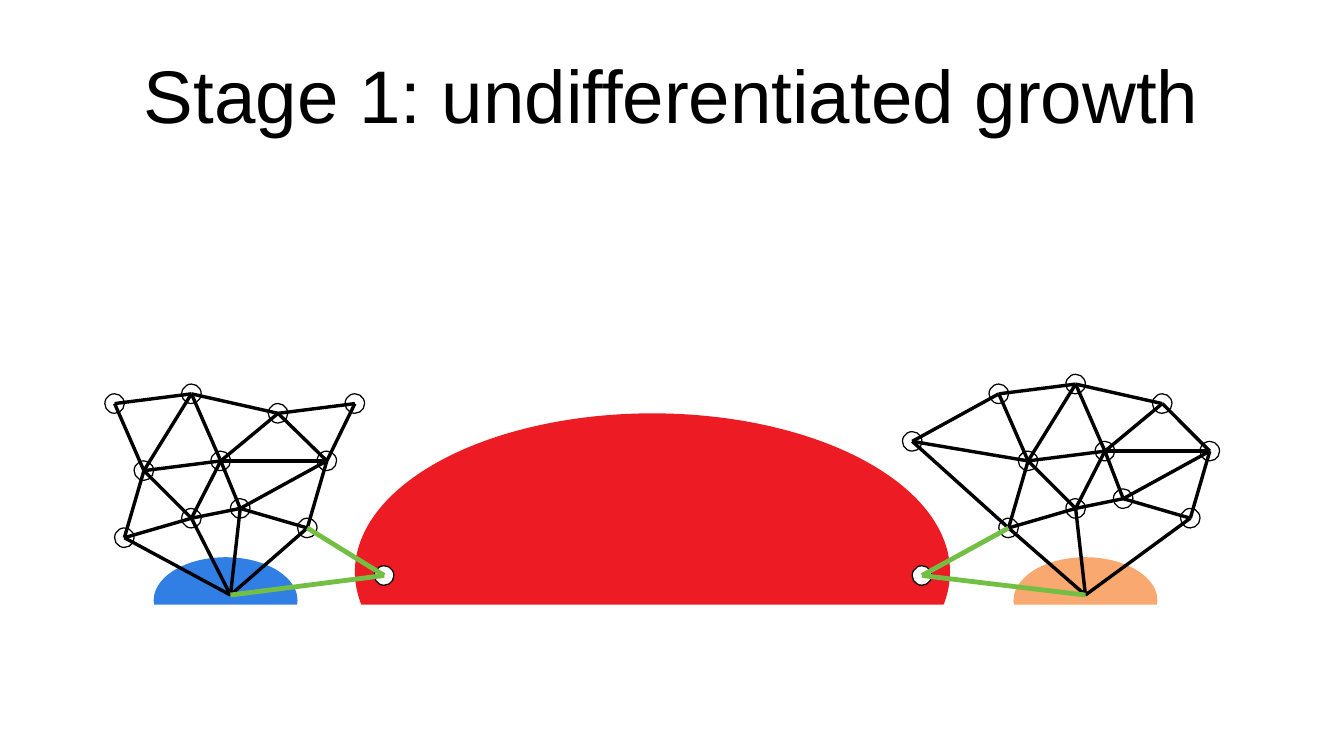
from dataclasses import dataclass

from lxml.etree import SubElement
from pptx import Presentation
from pptx.dml.color import RGBColor
from pptx.enum.shapes import MSO_CONNECTOR, MSO_SHAPE
from pptx.enum.text import MSO_ANCHOR, PP_ALIGN
from pptx.oxml.ns import qn
from pptx.shapes.autoshape import Shape
from pptx.slide import Slide
from pptx.util import Inches, Pt

BLACK = RGBColor(0x00, 0x00, 0x00)
WHITE = RGBColor(0xFF, 0xFF, 0xFF)
BLUE = RGBColor(0x31, 0x7E, 0xE5)
ORANGE = RGBColor(0xF9, 0xA8, 0x70)
RED = RGBColor(0xED, 0x1C, 0x24)
GREEN = RGBColor(0x72, 0xBF, 0x44)

NODE_SIZE = 0.16
HAIRLINE = 0
BRIDGE_WIDTH = 2.83

Point = tuple[float, float]


@dataclass(frozen=True)
class Body:
    left: float
    top: float
    width: float
    height: float
    fill: RGBColor
    kind: MSO_SHAPE = MSO_SHAPE.OVAL


@dataclass(frozen=True)
class Network:
    """Circled nodes and a bare root; each edge is a pair of node letters."""
    nodes: dict[str, Point]
    root: Point
    edges: str
    bridges: str


BODIES = [
    Body(1.26, 4.57, 1.18, 0.71, BLUE),
    Body(8.31, 4.57, 1.18, 0.71, ORANGE),
    Body(2.91, 3.39, 4.88, 2.6, RED),
    Body(0.55, 4.96, 10.31, 1.1, WHITE, MSO_SHAPE.RECTANGLE),  # ground
]

# Letters run row by row; t is the tip on the red body, r the root.
NETWORKS = [
    Network(
        nodes={
            "a": (0.94, 3.31), "b": (1.57, 3.23), "c": (2.28, 3.39), "d": (2.91, 3.31),
            "e": (1.18, 3.86), "f": (1.81, 3.78), "g": (2.68, 3.78),
            "h": (1.02, 4.41), "i": (1.57, 4.25), "j": (1.97, 4.17), "k": (2.52, 4.33),
            "t": (3.15, 4.72),
        },
        root=(1.89, 4.88),
        edges="ab bc cd ae be bf cf cg dg ef fg eh ei fi fj gj gk hi ij jk hr ir jr kr",
        bridges="kt rt",
    ),
    Network(
        nodes={
            "a": (7.48, 3.62), "b": (8.19, 3.23), "c": (8.82, 3.15), "d": (9.53, 3.31),
            "e": (8.43, 3.78), "f": (9.06, 3.7), "g": (9.92, 3.7),
            "h": (8.27, 4.33), "i": (8.82, 4.17), "j": (9.21, 4.09), "k": (9.76, 4.25),
            "t": (7.56, 4.72),
        },
        root=(8.9, 4.88),
        edges="ab bc cd ae be ce cf df dg ef fg ah eh ei fi fj gj gk hi ij jk hr ir kr",
        bridges="ht rt",
    ),
]


def add_body(s: Slide, body: Body) -> Shape:
    sp = s.shapes.add_shape(body.kind, Inches(body.left), Inches(body.top),
                            Inches(body.width), Inches(body.height))
    sp.shadow.inherit = False
    sp.fill.solid()
    sp.fill.fore_color.rgb = body.fill
    sp.line.fill.background()
    return sp


def add_node(s: Slide, center: Point) -> None:
    x, y = center
    sp = add_body(s, Body(x - NODE_SIZE / 2, y - NODE_SIZE / 2, NODE_SIZE, NODE_SIZE, WHITE))
    sp.line.color.rgb = BLACK
    sp.line.width = Pt(HAIRLINE)


def add_edge(s: Slide, start: Point, end: Point, color: RGBColor, width: float) -> None:
    line = s.shapes.add_connector(MSO_CONNECTOR.STRAIGHT, Inches(start[0]), Inches(start[1]),
                                  Inches(end[0]), Inches(end[1]))
    line.line.color.rgb = color
    line.line.width = Pt(width)
    SubElement(line._element.spPr, qn("a:effectLst"))


def add_network(s: Slide, network: Network) -> None:
    for center in network.nodes.values():
        add_node(s, center)
    points = network.nodes | {"r": network.root}
    for edges, color, width in ((network.edges, BLACK, HAIRLINE),
                                (network.bridges, GREEN, BRIDGE_WIDTH)):
        for start, end in edges.split():
            add_edge(s, points[start], points[end], color, width)


def add_text(s: Slide, text: str, *, left: float, top: float, width: float, height: float,
             size: float, font: str = "Arial", color: RGBColor = BLACK,
             align: PP_ALIGN = PP_ALIGN.CENTER) -> None:
    tf = s.shapes.add_textbox(Inches(left), Inches(top), Inches(width), Inches(height)).text_frame
    tf.word_wrap = True
    tf.vertical_anchor = MSO_ANCHOR.MIDDLE
    tf.margin_left = tf.margin_right = tf.margin_top = tf.margin_bottom = 0
    p = tf.paragraphs[0]
    p.alignment = align
    r = p.add_run()
    r.text = text
    r.font.name = font
    r.font.size = Pt(size)
    r.font.color.rgb = color


def main() -> None:
    prs = Presentation()
    prs.slide_width, prs.slide_height = Inches(11.02), Inches(6.2)
    s = prs.slides.add_slide(prs.slide_layouts[6])
    add_text(s, "Stage 1: undifferentiated growth",
             left=0.55, top=0.25, width=9.92, height=1.04, size=44)
    for body in BODIES:
        add_body(s, body)
    for network in NETWORKS:
        add_network(s, network)
    prs.save("out.pptx")


if __name__ == "__main__":
    main()
